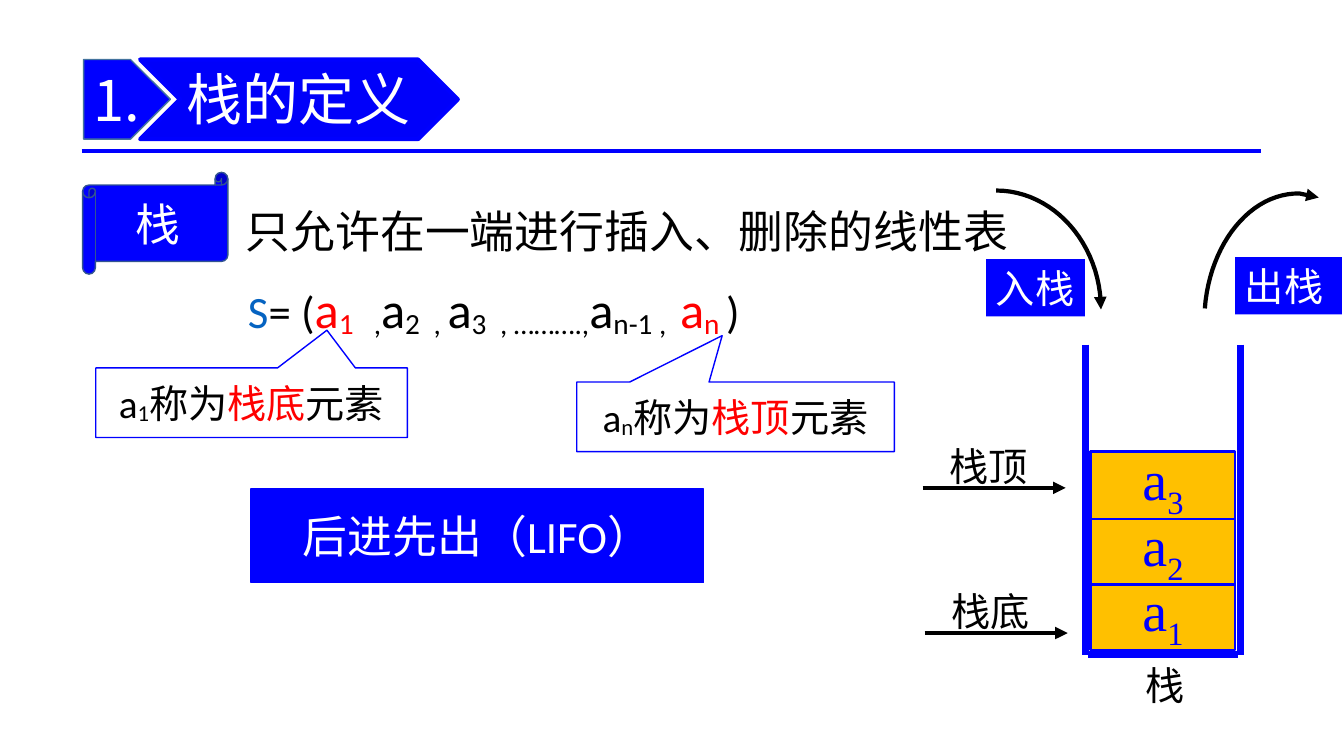
from lxml.etree import SubElement
from pptx import Presentation
from pptx.dml.color import RGBColor
from pptx.enum.shapes import MSO_CONNECTOR, MSO_SHAPE
from pptx.enum.text import MSO_ANCHOR, MSO_AUTO_SIZE, PP_ALIGN
from pptx.oxml.ns import qn
from pptx.util import Inches, Pt

C = {"blue": "0000FF", "chevron": "0000FA", "edge": "43739E", "scroll": "325491",
     "amber": "FFC000", "red": "FF0000", "link": "0563C1", "white": "FFFFFF", "black": "000000"}
CJK, LATIN, SERIF = "Noto Sans CJK SC", "Calibri", "Times New Roman"


def rgb(name):
    """Return the palette colour."""
    return RGBColor.from_string(C[name])


def write(sp, runs, align=PP_ALIGN.LEFT, insets=(0.1, 0.05, 0.1, 0.05), wrap=True):
    """Fill a shape with runs of (text, size, colour, font, baseline, spacing)."""
    tf = sp.text_frame
    tf.word_wrap = wrap
    tf.auto_size = MSO_AUTO_SIZE.NONE
    tf.vertical_anchor = MSO_ANCHOR.MIDDLE
    tf.margin_left, tf.margin_top, tf.margin_right, tf.margin_bottom = map(Inches, insets)
    p = tf.paragraphs[0]
    p.alignment = align
    for text, size, color, font, base, spacing in runs:
        r = p.add_run()
        r.text = text
        r.font.size = Pt(size)
        r.font.name = font
        r.font.color.rgb = rgb(color)
        rPr = r._r.get_or_add_rPr()
        SubElement(rPr, qn("a:ea")).set("typeface", CJK)
        if base:
            rPr.set("baseline", str(base * 1000))
        if spacing:
            rPr.set("spc", str(spacing * 100))


def run(text, size, color="black", font=CJK, base=0, spacing=0):
    """Describe one run."""
    return text, size, color, font, base, spacing


def shape(s, kind, box, fill, line=None, width=1):
    """Add a preset shape with a flat fill."""
    sp = s.shapes.add_shape(kind, *map(Inches, box))
    sp.shadow.inherit = False
    sp.fill.solid()
    sp.fill.fore_color.rgb = rgb(fill)
    if line:
        sp.line.color.rgb = rgb(line)
        sp.line.width = Pt(width)
    else:
        sp.line.fill.background()
    return sp


def label(s, box, runs, **options):
    """Add a text box."""
    write(s.shapes.add_textbox(*map(Inches, box)), runs, **options)


def add_head(sp):
    """Put a triangle at the end of a line."""
    SubElement(sp.line._get_or_add_ln(), qn("a:tailEnd")).set("type", "triangle")


def line(s, start, end, color="blue", width=5):
    """Add a straight line."""
    cx = s.shapes.add_connector(MSO_CONNECTOR.STRAIGHT, *map(Inches, start + end))
    cx.line.color.rgb = rgb(color)
    cx.line.width = Pt(width)
    SubElement(cx._element.spPr, qn("a:effectLst"))
    return cx


def curve_arrow(s, a, b, c, d, *rest):
    """Draw a cubic curve through its control points, ending in an arrow."""
    steps = 24
    pts = []
    for i in range(steps + 1):
        t = i / steps
        u = 1 - t
        pts.append(tuple(u**3 * w + 3 * u * u * t * x + 3 * u * t * t * y + t**3 * z
                         for w, x, y, z in zip(a, b, c, d)))
    pts = [(Inches(x), Inches(y)) for x, y in pts + list(rest)]
    fb = s.shapes.build_freeform(*pts[0])
    fb.add_line_segments(pts[1:], close=False)
    sp = fb.convert_to_shape()
    sp.shadow.inherit = False
    sp.fill.background()
    sp.line.color.rgb = rgb("black")
    sp.line.width = Pt(3)
    add_head(sp)


def heading(s, x, y):
    """Place the numbered title ribbon and its rule."""
    line(s, (x - 0.02, y + 0.91), (x + 11.68, y + 0.91), width=3)
    number = shape(s, MSO_SHAPE.PENTAGON, (x, y, 0.86, 0.79), "blue", "edge")
    write(number, [run("1.", 40, "white")])
    shape(s, MSO_SHAPE.CHEVRON, (x + 0.56, y, 3.15, 0.79), "chevron", "blue", 3)
    title = s.shapes.title
    title.left, title.top, title.width, title.height = map(
        Inches, (x + 0.98, y - 0.16, 2.71, 1.08))
    write(title, [run("栈的定义", 40, "white")], insets=(0.04, 0.02, 0, 0.02))
    s.shapes._spTree.append(title._element)


def formula(s, x, y):
    """Write the sequence of stack elements."""
    def sub(text, color="black", spacing=0):
        return run(text, 36, color, LATIN, -12, spacing)

    def a(color="black"):
        return run("a", 36, color, LATIN)

    gap = sub(" ", spacing=5)
    runs = [run("S", 32, "link", LATIN), run("= (", 32, font=LATIN),
            a("red"), sub("1", "red"), gap, sub(" ,"),
            a(), sub("2"), gap, sub(", "), a(), sub("3"), gap, sub(", ……….,"),
            a(), sub("n-1 ,"), gap, a("red"), sub("n ", "red"), run(")", 32, font=LATIN)]
    label(s, (x, y, 5.6, 0.71), runs, insets=(0.2, 0.05, 0.1, 0.05), wrap=False)


def callout(s, box, tip, index, name):
    """Explain one end of the sequence."""
    sp = shape(s, MSO_SHAPE.RECTANGULAR_CALLOUT, box, "white", "blue")
    sp.adjustments[0], sp.adjustments[1] = tip
    write(sp, [run("a", 28, font=LATIN), run(index, 28, font=LATIN, base=-8),
               run("称为", 28, font=LATIN), run(name, 28, "red", LATIN),
               run("元素", 28, font=LATIN)], PP_ALIGN.CENTER)


def definition(s, x, y):
    """Place the definition, the sequence and the LIFO rule."""
    scroll = shape(s, MSO_SHAPE.HORIZONTAL_SCROLL, (x, y, 1.44, 1.01), "blue", "scroll")
    write(scroll, [run("栈", 32, "white")], PP_ALIGN.CENTER)
    label(s, (x + 1.52, y + 0.26, 8.58, 0.64), [run("只允许在一端进行插入、删除的线性表", 32)])
    formula(s, x + 1.44, y + 1)
    callout(s, (x + 0.13, y + 1.94, 3.09, 0.69), (0.242, -1.042), "1", "栈底")
    callout(s, (x + 4.9, y + 2.08, 3.15, 0.69), (-0.042, -1.168), "n", "栈顶")
    rule = shape(s, MSO_SHAPE.RECTANGLE, (x + 1.67, y + 3.14, 4.49, 0.93), "blue", "blue")
    write(rule, [run("后进先出（", 32, "white"), run("LIFO", 32, "white", LATIN),
                 run("）", 32, "white")], PP_ALIGN.CENTER)


def stack(s, x, y):
    """Draw the container, its cells and the pointers to both ends."""
    for wall in (x, x + 1.53):
        line(s, (wall, y), (wall, y + 3.08))
    line(s, (x + 0.02, y + 3.07), (x + 1.51, y + 3.07))
    for i in range(3):
        cell = shape(s, MSO_SHAPE.RECTANGLE, (x + 0.05, y + 2.36 - 0.65 * i, 1.43, 0.67),
                     "amber", "blue", 2)
        write(cell, [run("a", 40, "blue", SERIF), run(str(i + 1), 40, "blue", SERIF, -25)],
              PP_ALIGN.CENTER, (0.1, 0, 0.1, 0.05), False)
    for name, left, top in (("栈顶", x - 1.62, y + 1.42), ("栈底", x - 1.6, y + 2.86)):
        add_head(line(s, (left, top), (left + 1.42, top), "black", 3))
        label(s, (left + 0.17, top - 0.5, 1, 0.57), [run(name, 28)])
    label(s, (x + 0.49, y + 3.09, 0.92, 0.57), [run("栈", 28)])


def operations(s, x, y):
    """Show the push and pop arrows with their tags."""
    for name, box in (("入栈", (x, y + 0.68, 0.98, 0.57)), ("出栈", (x + 2.47, y + 0.66, 1.06, 0.57))):
        write(shape(s, MSO_SHAPE.RECTANGLE, box, "blue"), [run(name, 28, "white")])
    curve_arrow(s, (x + 0.1, y), (x + 0.67, y), (x + 1.14, y + 0.53), (x + 1.14, y + 1.18))
    curve_arrow(s, (x + 2.17, y + 1.17), (x + 2.22, y + 0.52), (x + 2.63, y + 0.02),
                (x + 3.11, y + 0.03), (x + 3.3, y + 0.07))


def main():
    """Build the slide."""
    prs = Presentation()
    prs.slide_width, prs.slide_height = Inches(13.33), Inches(7.5)
    s = prs.slides.add_slide(prs.slide_layouts[5])
    definition(s, 0.82, 1.71)
    stack(s, 10.77, 3.42)
    operations(s, 9.78, 1.89)
    heading(s, 0.83, 0.59)
    prs.save("out.pptx")


if __name__ == "__main__":
    main()
